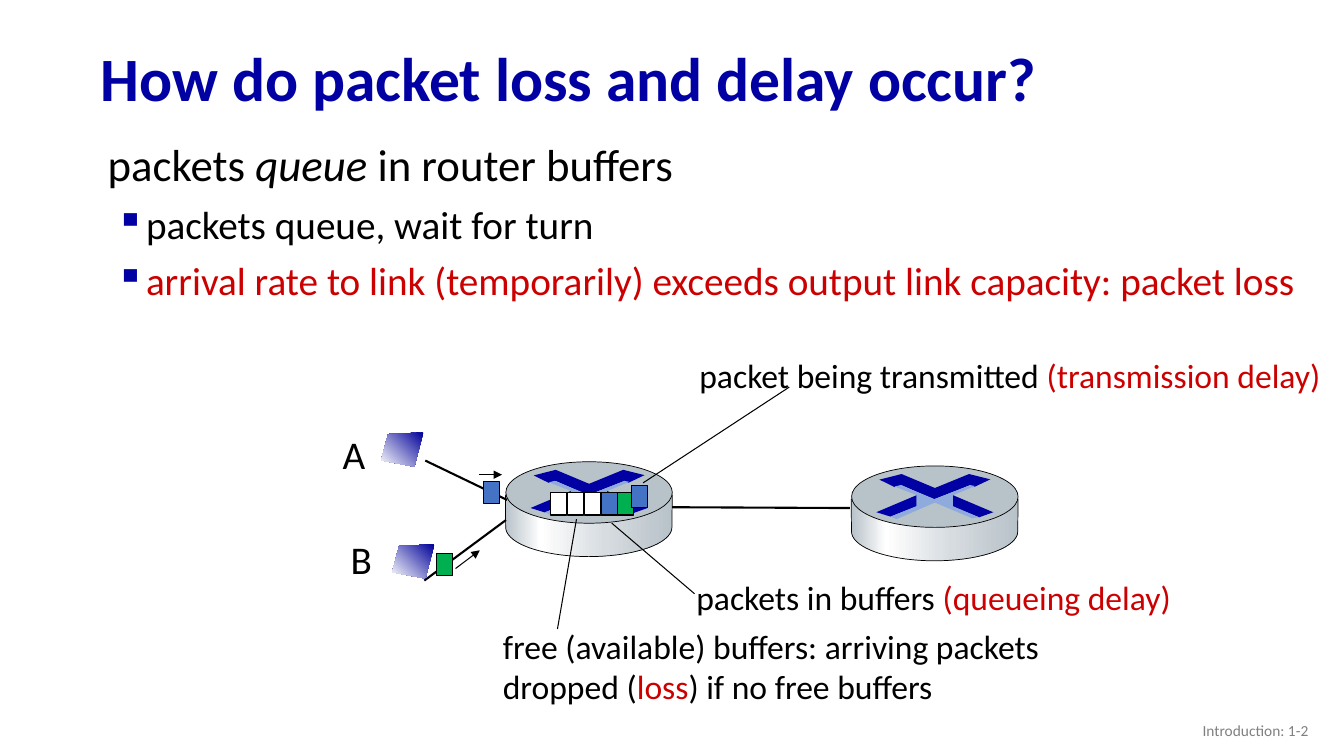
"""Build a slide showing how packet loss and delay occur at a router."""
import math

from lxml import etree
from pptx import Presentation
from pptx import util as u
from pptx.dml import color
from pptx.enum import shapes, text
from pptx.oxml import ns

rgb = color.RGBColor.from_string
NAVY, RED, BLACK, WHITE = "0000A3", "CC0000", "000000", "FFFFFF"
BLUE, GREEN, STEEL, SKY, GREY = "4472C4", "00B050", "B8C2C9", "8FAADC", "808080"
METAL = [(0, STEEL), (21, WHITE), (60, "D6DCE0"), (100, STEEL)]
SCREEN = [(0, "000099"), (100, WHITE)]

deck = Presentation()
deck.slide_width, deck.slide_height = u.Pt(960), u.Pt(540)
page = deck.slides.add_slide(deck.slide_layouts[6])


def add_piece(form, left, top, fill, line=0, size=None, angle=0):
    """Add a preset of the given size, or an outline of points, and paint it."""
    if size:
        piece = page.shapes.add_shape(form, u.Pt(left), u.Pt(top), u.Pt(size[0]), u.Pt(size[1]))
    else:
        corners = [(x * 100, y * 100) for x, y in form]
        builder = page.shapes.build_freeform(*corners[0], scale=u.Pt(1) / 100)
        builder.add_line_segments(corners[1:], close=True)
        piece = builder.convert_to_shape(u.Pt(left), u.Pt(top))
    piece.shadow.inherit = False
    if isinstance(fill, str):
        piece.fill.solid()
        piece.fill.fore_color.rgb = rgb(fill)
    else:
        piece.fill.gradient()
        piece.fill.gradient_angle = angle
        stops = next(piece._element.iter(ns.qn("a:gsLst")))
        stops.clear()
        for position, shade in fill:
            stop = etree.SubElement(stops, ns.qn("a:gs"), pos=str(position * 1000))
            etree.SubElement(stop, ns.qn("a:srgbClr"), val=shade)
    if line:
        piece.line.width = u.Pt(line)
        piece.line.color.rgb = rgb(BLACK)
    else:
        piece.line.fill.background()


def connect(start, end, width, arrow=False):
    """Add a straight black line, with an arrowhead if asked."""
    line = page.shapes.add_connector(
        shapes.MSO_CONNECTOR.STRAIGHT, *[u.Pt(value) for value in (*start, *end)])
    line.line.width = u.Pt(width)
    line.line.color.rgb = rgb(BLACK)
    if arrow:
        etree.SubElement(line.line._get_or_add_ln(), ns.qn("a:tailEnd"), type="triangle")
    etree.SubElement(line._element.spPr, ns.qn("a:effectLst"))


connect((455, 362.2), (607, 362.9), 1.5)

arc = [math.radians(degree) for degree in range(0, 181, 5)]
router_side = [(0, 23.7), (119.2, 23.7)]
router_side += [(59.6 + 59.4 * math.cos(a), 46.8 + 21 * math.sin(a)) for a in arc]
router_marks = [
    ([(84.2, 5.8), (99.4, 9.6), (87.8, 15.1), (85, 13.7), (59, 23.8),
      (36, 13.7), (31, 15.1), (20.2, 9.8), (36, 5.8), (59.8, 15.8)], NAVY),
    ([(72.7, 20.9), (101.5, 33.1), (91.4, 36.7), (72, 28.8)], NAVY),
    ([(46.8, 20.9), (46.8, 28.8), (28.1, 36.2), (18, 33.1)], "0000A8"),
    ([(31, 14.7), (35.3, 13.7), (59.8, 23.8), (85, 13.7), (88.6, 14.4),
      (72.7, 20.9), (72.7, 28.8), (91.4, 36.7), (86.4, 37.4), (59.8, 26.2),
      (32.4, 38), (28.1, 36.2), (46.8, 28.8), (46.8, 20.9)], SKY),
]
for left, top in [(361, 329.8), (608, 332.8)]:
    add_piece(router_side, left, top, METAL, 0.5)
    add_piece(shapes.MSO_SHAPE.OVAL, left + 0.3, top, STEEL, 0.5, (118.9, 43.9))
    for mark, fill in router_marks:
        add_piece(mark, left, top, fill)

screen = [(30.2, 0), (5, 1.2), (0, 20), (23.8, 24.5)]
for left, top in [(272.2, 308.9), (280.1, 388.8)]:
    add_piece(screen, left, top, SCREEN, angle=225)

for start, end, width, arrow in [
    ((303.8, 329), (362.2, 357.1), 1.5, False),
    ((303.1, 414.7), (361.4, 371.5), 1.5, False),
    ((342, 339.1), (358.6, 339.1), 0.75, True),
    ((325.4, 406.1), (342.7, 393.1), 0.75, True),
    ((563.8, 276.5), (459.4, 344.9), 0.75, False),
    ((496.1, 424.1), (437, 373.7), 0.75, False),
    ((398.2, 449.3), (411.8, 370.8), 0.75, False),
]:
    connect(start, end, width, arrow)

queue = [(393.3 + 12 * slot, 352.1, fill)
         for slot, fill in enumerate([WHITE, WHITE, WHITE, BLUE, GREEN])]
moving = [(451.4, 347, BLUE), (345.6, 344.2, BLUE), (311.8, 395.3, GREEN)]
for left, top, fill in queue + moving:
    add_piece(shapes.MSO_SHAPE.RECTANGLE, left, top, fill, 0.75, (11.5, 15.8))

middle = {"vertical_anchor": text.MSO_ANCHOR.MIDDLE, "word_wrap": True}
body = {"vertical_anchor": text.MSO_ANCHOR.TOP, "word_wrap": True}
label = {"vertical_anchor": text.MSO_ANCHOR.TOP, "word_wrap": False}
tight = {"line_spacing": 0.9}
bullet = {"line_spacing": 0.9, "space_before": u.Pt(10)}
right = {"alignment": text.PP_ALIGN.RIGHT}
texts = [
    ((64.8, 23, 828, 70.6), middle, 44, [
        (tight, None, [("How do packet loss and delay occur?", NAVY, {"bold": True})])]),
    ((725.8, 507.6, 216, 28.8), middle, 11, [
        (right, None, [("Introduction: 1-2", GREY, {})])]),
    ((64.8, 98.6, 877, 342.7), body, 28, [
        (tight, (28, -23), [("packets ", BLACK, {"size": u.Pt(32)}),
                            ("queue", BLACK, {"size": u.Pt(32), "italic": True}),
                            (" in router buffers", BLACK, {"size": u.Pt(32)})]),
        (bullet, (32.4, -21.6), [("packets queue, wait for turn", BLACK, {})]),
        (bullet, (32.4, -21.6), [("arrival rate to link (temporarily) exceeds output "
                                  "link capacity: packet loss", RED, {})])]),
    ((237.6, 303.8, 31, 41), label, 28, [({}, None, [("A", BLACK, {})])]),
    ((243.4, 378.7, 30.2, 41), label, 28, [({}, None, [("B", BLACK, {})])]),
    ((492.5, 249.8, 463, 36.7), label, 24, [
        ({}, None, [("packet being transmitted ", BLACK, {}),
                    ("(transmission delay)", RED, {})])]),
    ((490.3, 408.2, 357.1, 36.7), label, 24, [
        ({}, None, [("packets in buffers ", BLACK, {}), ("(queueing delay)", RED, {})])]),
    ((352.1, 443.5, 407.5, 65.5), label, 24, [
        ({}, None, [("free (available) buffers: arriving packets", BLACK, {})]),
        ({}, None, [("dropped (", BLACK, {}), ("loss", RED, {}),
                    (") if no free buffers", BLACK, {})])]),
]
for place, frame_format, size, paragraphs in texts:
    box = page.shapes.add_textbox(*[u.Pt(value) for value in place])
    frame = box.text_frame
    for name, value in frame_format.items():
        setattr(frame, name, value)
    for index, (para_format, indent, spans) in enumerate(paragraphs):
        para = frame.add_paragraph() if index else frame.paragraphs[0]
        if indent:
            properties = para._p.get_or_add_pPr()
            properties.set("marL", str(u.Pt(indent[0])))
            properties.set("indent", str(u.Pt(indent[1])))
            if para_format is bullet:
                shade = etree.SubElement(properties, ns.qn("a:buClr"))
                etree.SubElement(shade, ns.qn("a:srgbClr"), val=NAVY)
                etree.SubElement(properties, ns.qn("a:buChar"), char="▪")
        for name, value in para_format.items():
            setattr(para, name, value)
        for words, shade, span_format in spans:
            span = para.add_run()
            span.text = words
            span.font.color.rgb = rgb(shade)
            for name, value in {"name": "Calibri", "size": u.Pt(size), **span_format}.items():
                setattr(span.font, name, value)

deck.save("out.pptx")
